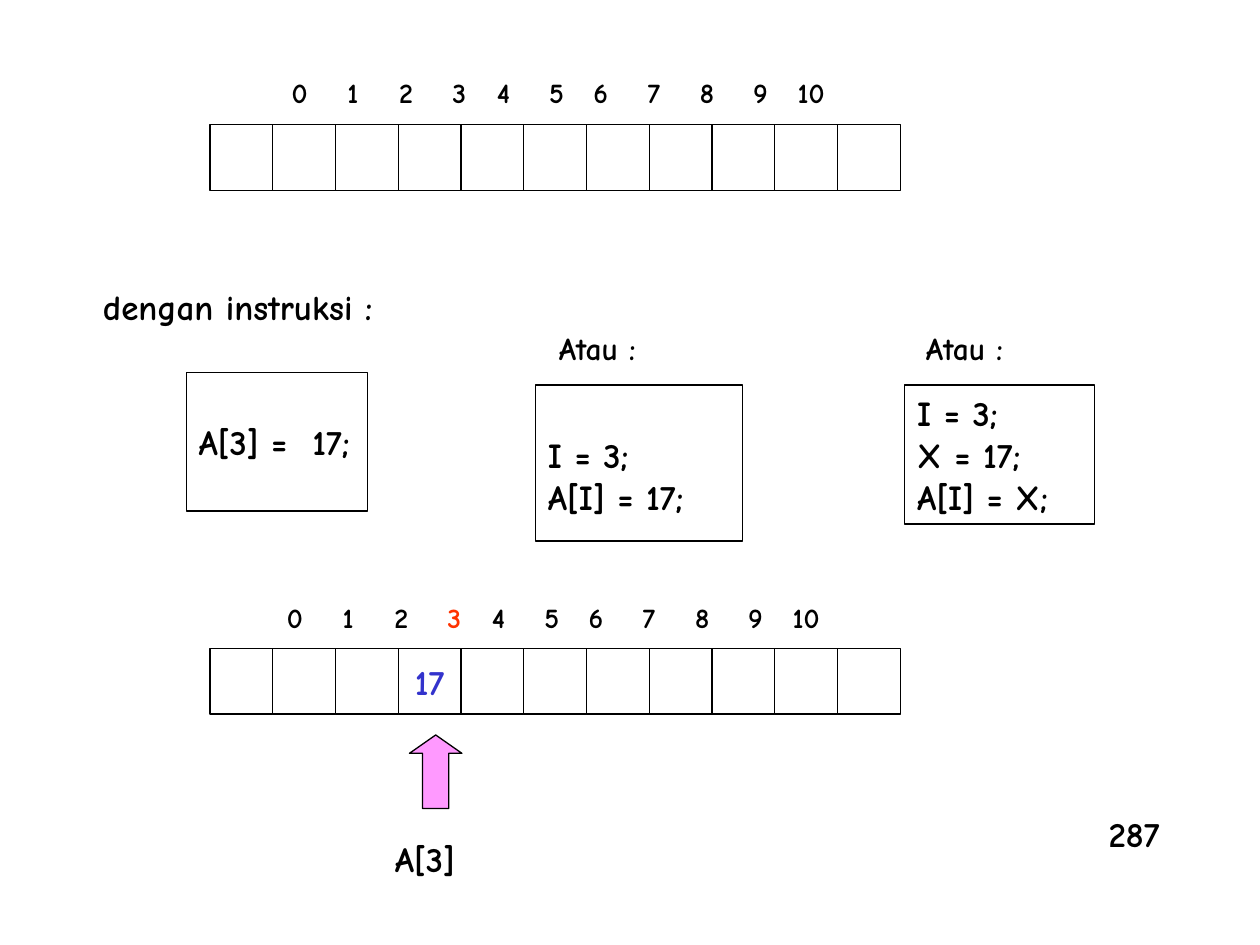
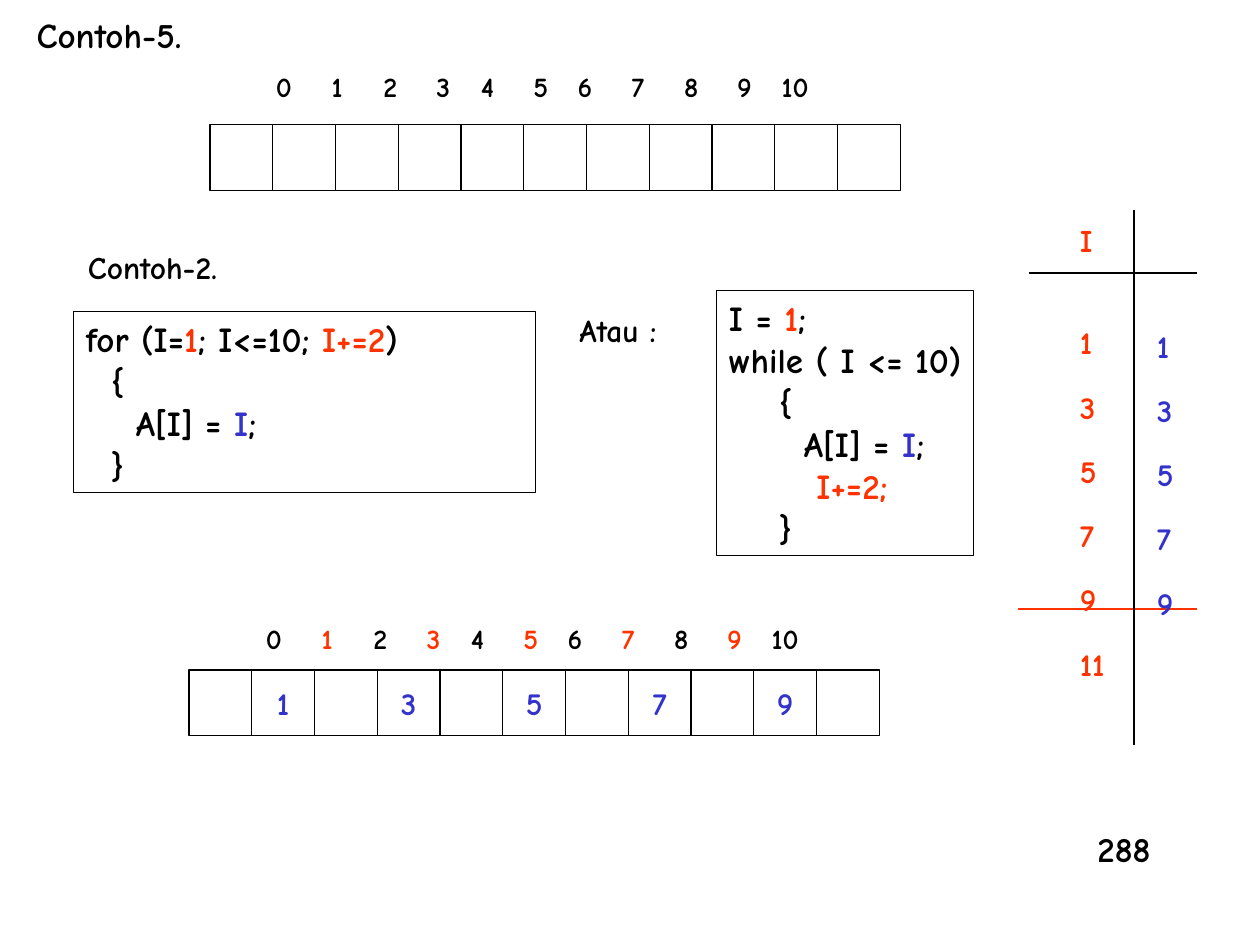
from itertools import accumulate

from lxml import etree
from pptx import Presentation
from pptx.dml.color import RGBColor
from pptx.enum.shapes import MSO_CONNECTOR, MSO_SHAPE
from pptx.enum.text import MSO_ANCHOR, MSO_AUTO_SIZE, PP_ALIGN
from pptx.oxml.ns import qn
from pptx.util import Pt

RECTANGLE = MSO_SHAPE.RECTANGLE
UP_ARROW = MSO_SHAPE.UP_ARROW
STRAIGHT = MSO_CONNECTOR.STRAIGHT
TOP, MIDDLE = MSO_ANCHOR.TOP, MSO_ANCHOR.MIDDLE
LEFT, CENTER = PP_ALIGN.LEFT, PP_ALIGN.CENTER
NO_AUTOFIT = MSO_AUTO_SIZE.NONE

FONT = "Comic Neue"
BLACK, RED, BLUE, PINK = "000000", "FF3300", "3333CC", "FF99FF"
TITLE_ONLY, BLANK = 5, 6
CELL_COUNT, CELL_WIDTH, CELL_HEIGHT = 11, 35.86, 37.5
INDEX_GAPS = [30.4, 30.4, 30.4, 25.2, 30.4, 25.2, 30.4, 30.4, 30.4, 29]
FIRST_TAB = 10
INSET_X, INSET_Y = 7.2, 3.6
LINE_HEIGHT = 24
ODD_NUMBERS = [1, 3, 5, 7, 9]


def rgb(colour):
    """Turn a hex string into a colour."""
    return RGBColor.from_string(colour)


def write(shape, lines, size, align=LEFT, anchor=TOP, top_inset=INSET_Y):
    """Fill a shape with lines, each a list of (text, colour) spans."""
    frame = shape.text_frame
    frame.word_wrap = True
    frame.auto_size = NO_AUTOFIT
    frame.vertical_anchor = anchor
    frame.margin_left = Pt(INSET_X if align == LEFT else 0)
    frame.margin_right = 0
    frame.margin_top, frame.margin_bottom = Pt(top_inset), Pt(INSET_Y)
    for number, spans in enumerate(lines):
        para = frame.paragraphs[0] if number == 0 else frame.add_paragraph()
        para.alignment = align
        for text, colour in spans:
            span = para.add_run()
            span.text = text
            span.font.name, span.font.size, span.font.bold = FONT, Pt(size), True
            span.font.color.rgb = rgb(colour)
    return frame


def add_label(page, left, top, width, height, lines, size):
    """Add a text box and return its text frame."""
    box = page.shapes.add_textbox(Pt(left), Pt(top), Pt(width), Pt(height))
    return write(box, lines, size)


def add_figure(page, kind, left, top, width, height, fill=None):
    """Add a thinly outlined shape, unfilled unless a fill is given."""
    shape = page.shapes.add_shape(kind, Pt(left), Pt(top), Pt(width), Pt(height))
    shape.shadow.inherit = False
    if fill:
        shape.fill.solid()
        shape.fill.fore_color.rgb = rgb(fill)
    else:
        shape.fill.background()
    shape.line.color.rgb = rgb(BLACK)
    shape.line.width = Pt(0.75)
    return shape


def add_code(page, left, top, width, height, lines, skipped_lines=0):
    """Add a framed piece of code, starting below any skipped lines."""
    box = add_figure(page, RECTANGLE, left, top, width, height)
    write(box, lines, 20, top_inset=INSET_Y + skipped_lines * LINE_HEIGHT)


def add_rule(page, x1, y1, x2, y2, colour):
    """Draw a thin straight line."""
    rule = page.shapes.add_connector(STRAIGHT, Pt(x1), Pt(y1), Pt(x2), Pt(y2))
    rule.line.color.rgb = rgb(colour)
    rule.line.width = Pt(0.75)
    etree.SubElement(rule._element.spPr, qn("a:effectLst"))


def add_indices(page, first_center, top, marked):
    """Write the index numbers on centred tab stops, the marked ones in red."""
    spans = [(f"\t{index}", RED if index in marked else BLACK) for index in range(CELL_COUNT)]
    frame = add_label(page, first_center - FIRST_TAB - INSET_X, top, 340, 26.6, [spans], 16)
    tabs = etree.SubElement(frame.paragraphs[0]._p.get_or_add_pPr(), qn("a:tabLst"))
    for stop in accumulate(INDEX_GAPS, initial=FIRST_TAB):
        etree.SubElement(tabs, qn("a:tab"), pos=str(int(Pt(stop))), algn="ctr")


def add_array(page, left, top, index_dx, index_dy, values=None, size=18, marked=()):
    """Draw the array cells with their values and the index row above."""
    values = values or {}
    for cell in range(CELL_COUNT):
        box = add_figure(page, RECTANGLE, left + cell * CELL_WIDTH, top, CELL_WIDTH, CELL_HEIGHT)
        if cell in values:
            write(box, [[(str(values[cell]), BLUE)]], size, CENTER, MIDDLE)
    add_indices(page, left + index_dx, top - index_dy, marked)


def add_page_number(page, left, top, number):
    """Write the page number."""
    add_label(page, left, top, 50, 31.5, [[(str(number), BLACK)]], 20)


def add_trace(page, left, top):
    """Draw the table that follows I and the stored values."""
    counters = ["I", *ODD_NUMBERS, 11]
    frame = add_label(page, left + 28, top + 3, 38, 271,
                      [[(str(value), RED)] for value in counters], 18)
    for para in frame.paragraphs[1:]:
        para.line_spacing = 1.7
    frame.paragraphs[1].space_before = Pt(21.6)
    add_rule(page, left + 6, top + 36, left + 102, top + 36, BLACK)
    add_rule(page, left, top + 228, left + 102, top + 228, RED)
    add_rule(page, left + 66, top, left + 66, top + 306, BLACK)
    frame = add_label(page, left + 72, top + 48, 30, 228,
                      [[(str(value), BLUE)] for value in ODD_NUMBERS], 18)
    for para in frame.paragraphs:
        para.line_spacing = 1.7


def build_assignment(deck):
    """Show three ways of storing 17 in A[3]."""
    page = deck.slides.add_slide(deck.slide_layouts[BLANK])
    add_array(page, 120, 71.3, 51.4, 31.7)
    add_label(page, 51.8, 159.8, 180, 31.5, [[("dengan instruksi :", BLACK)]], 20)
    for left in (312.2, 522):
        add_label(page, left, 184.3, 70, 28.8, [[("Atau :", BLACK)]], 18)
    add_code(page, 106.4, 212.7, 103.6, 79.4, [[("A[3] =  17;", BLACK)]], 1)
    add_code(page, 306, 220, 118.2, 89.2,
             [[("I = 3;", BLACK)], [("A[I] = 17;", BLACK)]], 1)
    add_code(page, 517, 220, 108.6, 79.4,
             [[("I = 3;", BLACK)], [("X = 17;", BLACK)], [("A[I] = X;", BLACK)]])
    add_array(page, 120, 370.6, 48.6, 31, {3: 17}, 20, [3])
    arrow = add_figure(page, UP_ARROW, 234, 420, 30, 42, PINK)
    arrow.adjustments[0], arrow.adjustments[1] = 0.5, 0.35
    add_label(page, 218.6, 475.2, 55, 31.5, [[("A[3]", BLACK)]], 20)
    add_page_number(page, 626.4, 460.8, 287)


def build_loops(deck):
    """Show a for loop and a while loop filling the odd cells."""
    page = deck.slides.add_slide(deck.slide_layouts[TITLE_ONLY])
    title = page.shapes.title
    title.left, title.top, title.width, title.height = Pt(13.7), Pt(4.3), Pt(110), Pt(31.5)
    write(title, [[("Contoh-5.", BLACK)]], 20)
    add_array(page, 120, 71.3, 42.3, 35.3)
    add_label(page, 43.2, 138.2, 100, 28.8, [[("Contoh-2.", BLACK)]], 18)
    add_code(page, 42, 178, 264, 103.5, [
        [("for (I=", BLACK), ("1", RED), ("; I<=10; ", BLACK), ("I+=2", RED), (")", BLACK)],
        [("  {", BLACK)],
        [("    A[I] = ", BLACK), ("I", BLUE), (";", BLACK)],
        [("  }", BLACK)],
    ])
    add_label(page, 324, 174.2, 70, 28.8, [[("Atau :", BLACK)]], 18)
    add_code(page, 409.5, 166, 147, 151.3, [
        [("I = ", BLACK), ("1", RED), (";", BLACK)],
        [("while ( I <= 10)", BLACK)],
        [("    {", BLACK)],
        [("      A[I] = ", BLACK), ("I", BLUE), (";", BLACK)],
        [("       ", BLACK), ("I+=2;", RED)],
        [("    }", BLACK)],
    ])
    add_array(page, 108, 382.8, 48.6, 31.4, {odd: odd for odd in ODD_NUMBERS}, 18, ODD_NUMBERS)
    add_trace(page, 582, 120)
    add_page_number(page, 620, 469.4, 288)


def main():
    """Build both slides and save the deck."""
    deck = Presentation()
    deck.slide_width, deck.slide_height = Pt(720), Pt(540)
    build_assignment(deck)
    build_loops(deck)
    deck.save("out.pptx")


if __name__ == "__main__":
    main()
